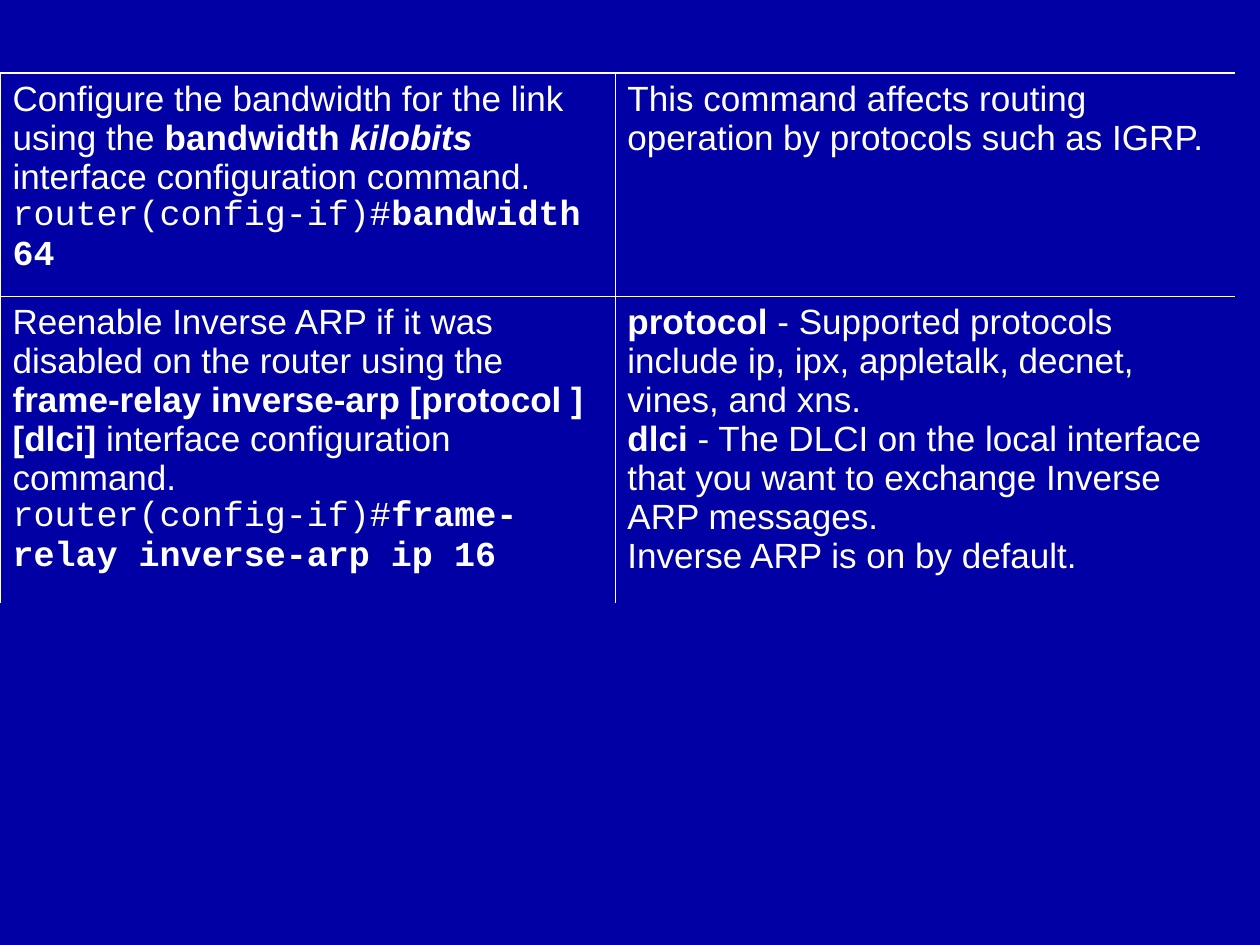
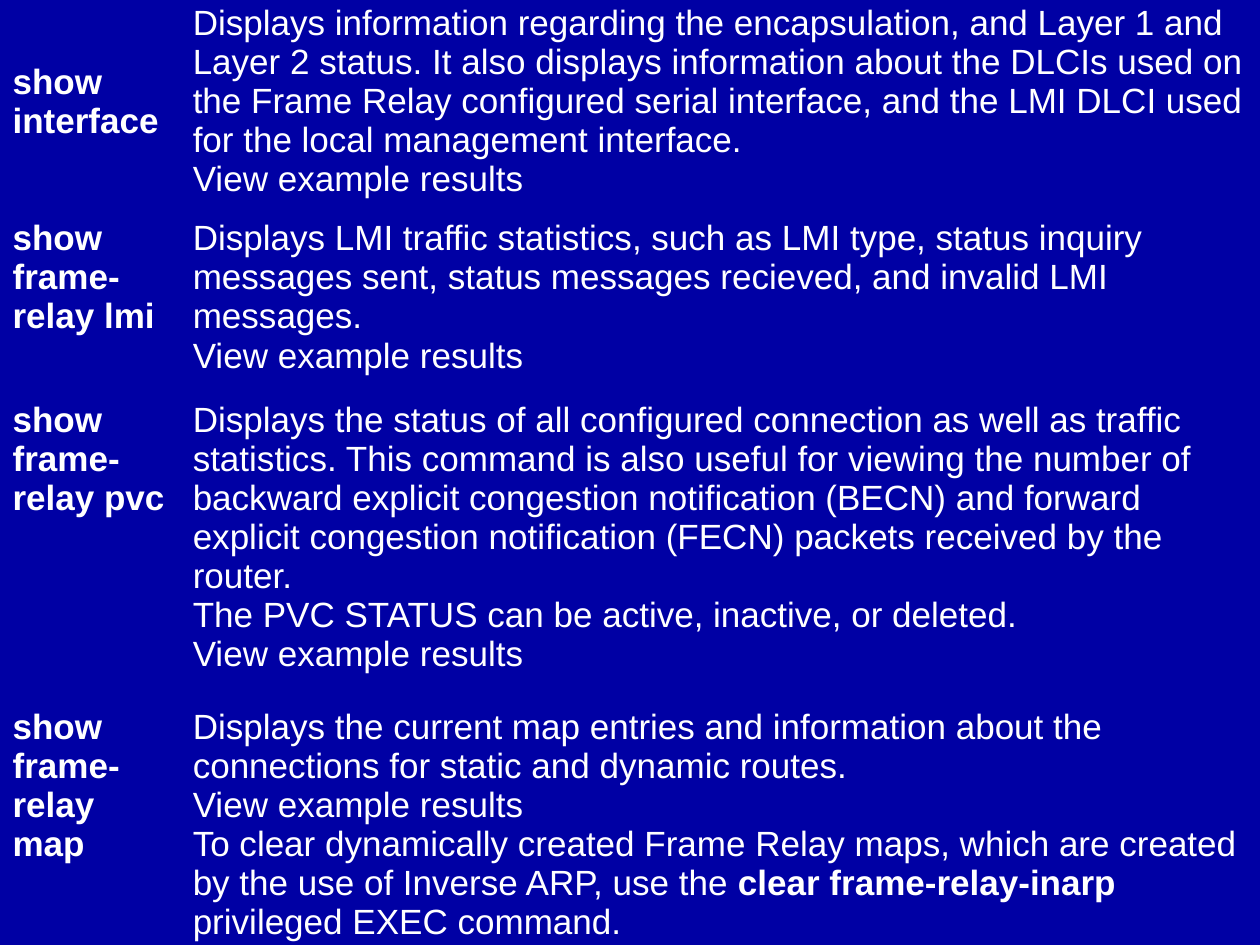
from dataclasses import dataclass

from lxml.etree import SubElement
from pptx import Presentation
from pptx.dml.color import RGBColor
from pptx.enum.text import MSO_VERTICAL_ANCHOR as Anchor
from pptx.oxml.ns import qn
from pptx.util import Inches, Pt


@dataclass(frozen=True)
class Theme:
    background: str = "0000A4"
    text: str = "FFFFFF"
    border: str = "FFFFFF"
    body_font: str = "Arial"
    code_font: str = "Courier New"
    size: float = 20
    outer_line: float = 1.08
    inner_line: float = 0.45


THEME = Theme()

# Content: a cell is a list of paragraphs, a paragraph a list of runs.
# A plain string is a regular run; the marks below style the others.
PROMPT = "router(config-if)#"
EXAMPLE = ["View example results"]


def bold(text):
    return text, "bold"


def bold_italic(text):
    return text, "bold italic"


def code(command):
    return [(PROMPT, "code"), (command, "code bold")]


CONFIGURATION_STEPS = [
    (
        [["Configure the bandwidth for the link using the ",
          bold("bandwidth "), bold_italic("kilobits"),
          " interface configuration command."],
         code("bandwidth 64")],
        [["This command affects routing operation by protocols such as IGRP."]],
    ),
    (
        [["Reenable Inverse ARP if it was disabled on the router using the ",
          bold("frame-relay inverse-arp [protocol ] [dlci]"),
          " interface configuration command."],
         code("frame-relay inverse-arp ip 16")],
        [[bold("protocol "), "- Supported protocols include ip, ipx, appletalk, "
          "decnet, vines, and xns."],
         [bold("dlci "), "- The DLCI on the local interface that you want to "
          "exchange Inverse ARP messages."],
         ["Inverse ARP is on by default."]],
    ),
]

SHOW_COMMANDS = [
    (
        [[bold("show interface")]],
        [["Displays information regarding the encapsulation, and Layer 1 and "
          "Layer 2 status. It also displays information about the DLCIs used on "
          "the Frame Relay configured serial interface, and the LMI DLCI used "
          "for the local management interface."],
         EXAMPLE],
    ),
    (
        [[bold("show frame-relay lmi")]],
        [["Displays LMI traffic statistics, such as LMI type, status inquiry "
          "messages sent, status messages recieved, and invalid LMI messages."],
         EXAMPLE],
    ),
    (
        [[bold("show frame-relay pvc")]],
        [["Displays the status of all configured connection as well as traffic "
          "statistics. This command is also useful for viewing the number of "
          "backward explicit congestion notification (BECN) and forward explicit "
          "congestion notification (FECN) packets received by the router."],
         ["The PVC STATUS can be active, inactive, or deleted."],
         EXAMPLE],
    ),
    (
        [[bold("show frame-relay map")]],
        [["Displays the current map entries and information about the "
          "connections for static and dynamic routes."],
         EXAMPLE,
         ["To clear dynamically created Frame Relay maps, which are created by "
          "the use of Inverse ARP, use the ",
          bold("clear frame-relay-inarp"), " privileged EXEC command."]],
    ),
]

SLIDES = [
    dict(rows=CONFIGURATION_STEPS, top=0.58, widths=(4.88, 4.92),
         heights=(1.77, 2.44), ruled=True, middle_rows=()),
    dict(rows=SHOW_COMMANDS, top=-0.08, widths=(1.43, 8.57),
         heights=(1.77, 1.44, 2.44, 2.1), ruled=False, middle_rows=(0,)),
]


# Text
def write_cell(cell, paragraphs):
    frame = cell.text_frame
    for index, runs in enumerate(paragraphs):
        paragraph = frame.add_paragraph() if index else frame.paragraphs[0]
        styled = [run if isinstance(run, tuple) else (run, "") for run in runs]
        is_code = all("code" in style for _, style in styled)
        paragraph.font.name = THEME.code_font if is_code else THEME.body_font
        paragraph.font.size = Pt(THEME.size)
        paragraph.font.color.rgb = RGBColor.from_string(THEME.text)
        for text, style in styled:
            run = paragraph.add_run()
            run.text = text
            run.font.bold = "bold" in style
            run.font.italic = "italic" in style


# Borders: thick on the outer left and top, thin inside, open right and bottom
def set_borders(cell, row, column, row_count, column_count, ruled):
    outer, inner = THEME.outer_line, THEME.inner_line
    widths = {
        "a:lnL": inner if column else outer,
        "a:lnR": inner if column < column_count - 1 else 0,
        "a:lnT": inner if row else outer,
        "a:lnB": inner if row < row_count - 1 else 0,
    }
    properties = cell._tc.get_or_add_tcPr()
    for tag, width in widths.items():
        line = SubElement(properties, qn(tag))
        if ruled and width:
            line.set("w", str(Pt(width)))
            fill = SubElement(line, qn("a:solidFill"))
            SubElement(fill, qn("a:srgbClr")).set("val", THEME.border)
        else:
            SubElement(line, qn("a:noFill"))


def add_command_table(slide, rows, top, widths, heights, ruled, middle_rows):
    table = slide.shapes.add_table(
        len(heights), len(widths), Inches(0), Inches(top),
        Inches(sum(widths)), Inches(sum(heights))).table
    table.first_row = table.horz_banding = False
    for column, width in zip(table.columns, widths):
        column.width = Inches(width)
    for row, height in zip(table.rows, heights):
        row.height = Inches(height)
    for r, cells in enumerate(rows):
        for c, paragraphs in enumerate(cells):
            cell = table.cell(r, c)
            cell.vertical_anchor = Anchor.MIDDLE if r in middle_rows else Anchor.TOP
            set_borders(cell, r, c, len(heights), len(widths), ruled)
            cell.fill.background()
            write_cell(cell, paragraphs)


def main():
    presentation = Presentation()
    presentation.slide_width, presentation.slide_height = Inches(10), Inches(7.5)
    blank = presentation.slide_layouts[6]
    background = presentation.slide_master.background.fill
    background.solid()
    background.fore_color.rgb = RGBColor.from_string(THEME.background)
    for content in SLIDES:
        add_command_table(presentation.slides.add_slide(blank), **content)
    presentation.save("out.pptx")


if __name__ == "__main__":
    main()
